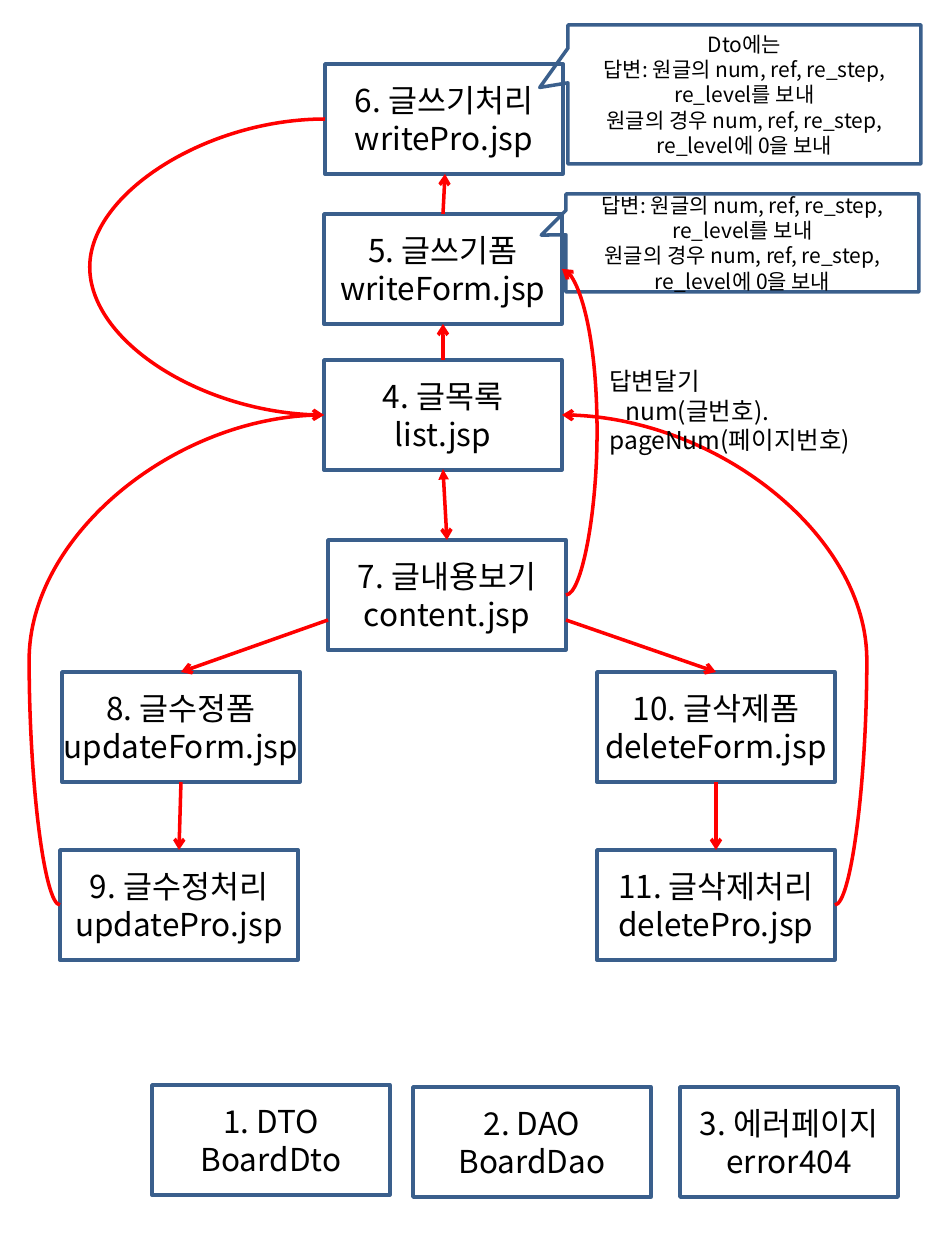
from lxml import etree
from pptx import Presentation
from pptx import util as u
from pptx.dml.color import RGBColor
from pptx.enum import shapes, text
from pptx.oxml import ns

SCALE = 914400 / 126
FONT = "Noto Sans CJK KR"
COLORS = {"outline": "3A5F8C", "arrow": "FF0000", "text": "000000"}
BOX_WIDTH, BOX_HEIGHT = 238, 110


def px(*values):
    return [u.Emu(round(value * SCALE)) for value in values]


def write(frame, lines, size, align):
    frame.word_wrap = True
    for number, line in enumerate(lines):
        para = frame.paragraphs[0] if number == 0 else frame.add_paragraph()
        para.alignment = align
        span = para.add_run()
        span.text = line
        span.font.size = u.Pt(size)
        span.font.name = FONT
        span.font.color.rgb = RGBColor.from_string(COLORS["text"])
        etree.SubElement(span.font._element, ns.qn("a:ea"), typeface=FONT)


deck = Presentation()
deck.slide_width, deck.slide_height = px(945, 1260)
page = deck.slides.add_slide(deck.slide_layouts[6])

steps = [
    (324, 360, BOX_WIDTH, ["4. 글목록", "list.jsp"]),
    (597, 672, BOX_WIDTH, ["10. 글삭제폼", "deleteForm.jsp"]),
    (62, 672, BOX_WIDTH, ["8. 글수정폼", "updateForm.jsp"]),
    (60, 850, BOX_WIDTH, ["9. 글수정처리", "updatePro.jsp"]),
    (597, 850, BOX_WIDTH, ["11. 글삭제처리", "deletePro.jsp"]),
    (325, 64, BOX_WIDTH, ["6. 글쓰기처리", "writePro.jsp"]),
    (324, 214, BOX_WIDTH, ["5. 글쓰기폼", "writeForm.jsp"]),
    (328, 540, BOX_WIDTH, ["7. 글내용보기", "content.jsp"]),
    (413, 1087, BOX_WIDTH, ["2. DAO", "BoardDao"]),
    (152, 1085, BOX_WIDTH, ["1. DTO", "BoardDto"]),
    (680, 1087, 218, ["3. 에러페이지", "error404"]),
]
notes = [
    "답변: 원글의 num, ref, re_step, re_level를 보내",
    "원글의 경우 num, ref, re_step, re_level에 0을 보내",
]
rect = shapes.MSO_SHAPE.RECTANGLE
callout = shapes.MSO_SHAPE.RECTANGULAR_CALLOUT
boxes = [(rect, left, top, width, BOX_HEIGHT, lines, 18, [])
         for left, top, width, lines in steps]
boxes += [
    (callout, 566, 194, 353, 98, notes, 12, [-0.57, -0.08]),
    (callout, 568, 25, 353, 139, ["Dto에는"] + notes, 12, [-0.58, -0.05]),
]

for kind, left, top, width, height, lines, size, pointer in boxes:
    box = page.shapes.add_shape(kind, *px(left, top, width, height))
    box.shadow.inherit = False
    box.fill.background()
    box.line.color.rgb = RGBColor.from_string(COLORS["outline"])
    box.line.width = u.Pt(2)
    for index, value in enumerate(pointer):
        box.adjustments[index] = value
    frame = box.text_frame
    frame.margin_left = frame.margin_right = frame.margin_top = frame.margin_bottom = 0
    frame.vertical_anchor = text.MSO_ANCHOR.MIDDLE
    write(frame, lines, size, text.PP_ALIGN.CENTER)

arrows = [
    (443, 360, 443, 324, None, None, "arrow"),
    (443, 214, 445, 174, None, None, "arrow"),
    (181, 782, 179, 850, None, None, "arrow"),
    (566, 620, 716, 672, None, None, "arrow"),
    (328, 620, 181, 672, None, None, "arrow"),
    (716, 782, 716, 850, None, None, "arrow"),
    (443, 469, 447, 540, None, "triangle", "arrow"),
    (60, 905, 324, 415, 29, None, "triangle"),
    (325, 119, 324, 415, 88, None, "arrow"),
    (835, 905, 562, 415, 867, None, "arrow"),
    (566, 595, 562, 269, 597, None, "arrow"),
]
for x1, y1, x2, y2, bend, head, tail in arrows:
    kind = shapes.MSO_CONNECTOR.STRAIGHT if bend is None else shapes.MSO_CONNECTOR.CURVE
    arrow = page.shapes.add_connector(kind, *px(x1, y1, x2, y2))
    arrow.line.color.rgb = RGBColor.from_string(COLORS["arrow"])
    arrow.line.width = u.Pt(2)
    properties = arrow._element.spPr
    if bend is not None:
        guides = properties.find(ns.qn("a:prstGeom")).get_or_add_avLst()
        ratio = round((bend - x1) / (x2 - x1) * 100000)
        etree.SubElement(guides, ns.qn("a:gd"), name="adj1", fmla=f"val {ratio}")
    outline = arrow.line._get_or_add_ln()
    for tag, style in (("a:headEnd", head), ("a:tailEnd", tail)):
        if style:
            etree.SubElement(outline, ns.qn(tag), type=style)
    etree.SubElement(properties, ns.qn("a:effectLst"))

reply = page.shapes.add_textbox(*px(597, 360, 348, 102))
write(reply.text_frame, ["답변달기", "num(글번호). pageNum(페이지번호)"], 14, text.PP_ALIGN.LEFT)
reply.text_frame.auto_size = text.MSO_AUTO_SIZE.SHAPE_TO_FIT_TEXT
reply.text_frame.paragraphs[1]._p.get_or_add_pPr().set("indent", str(px(16)[0]))

deck.save("out.pptx")
